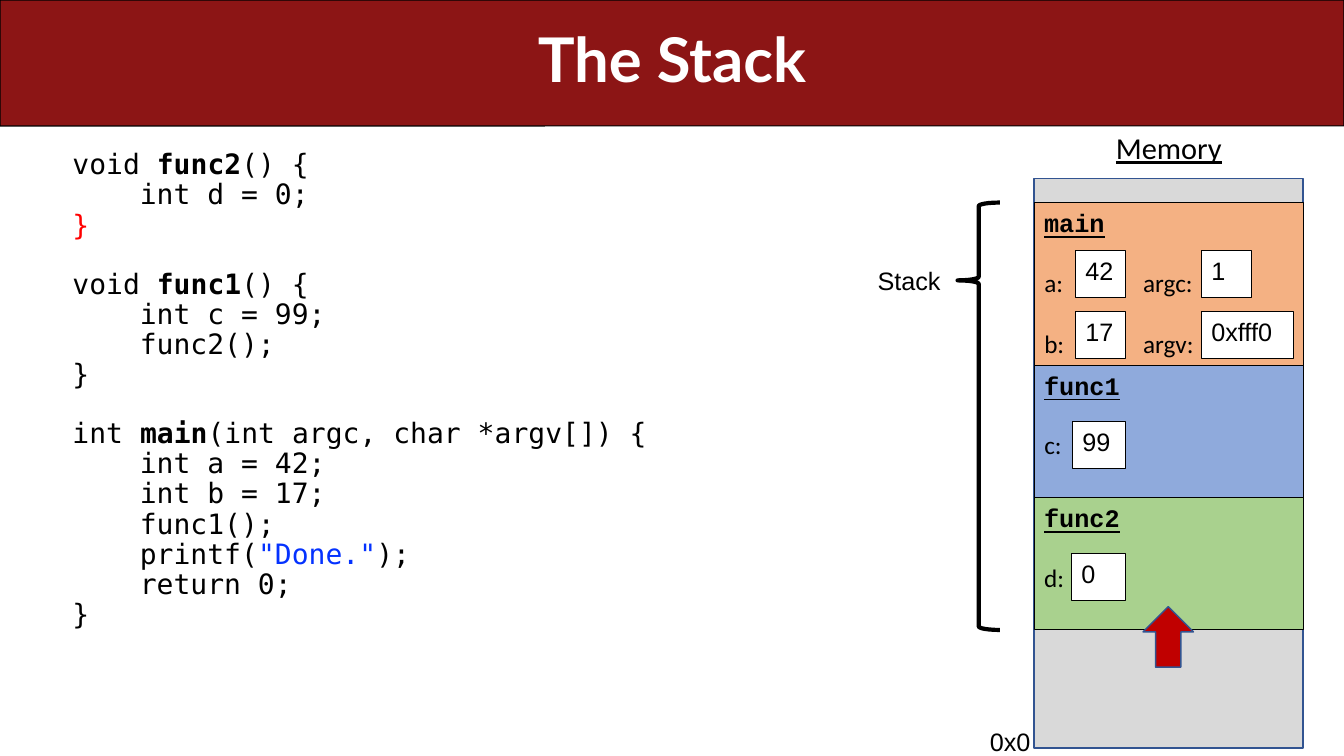
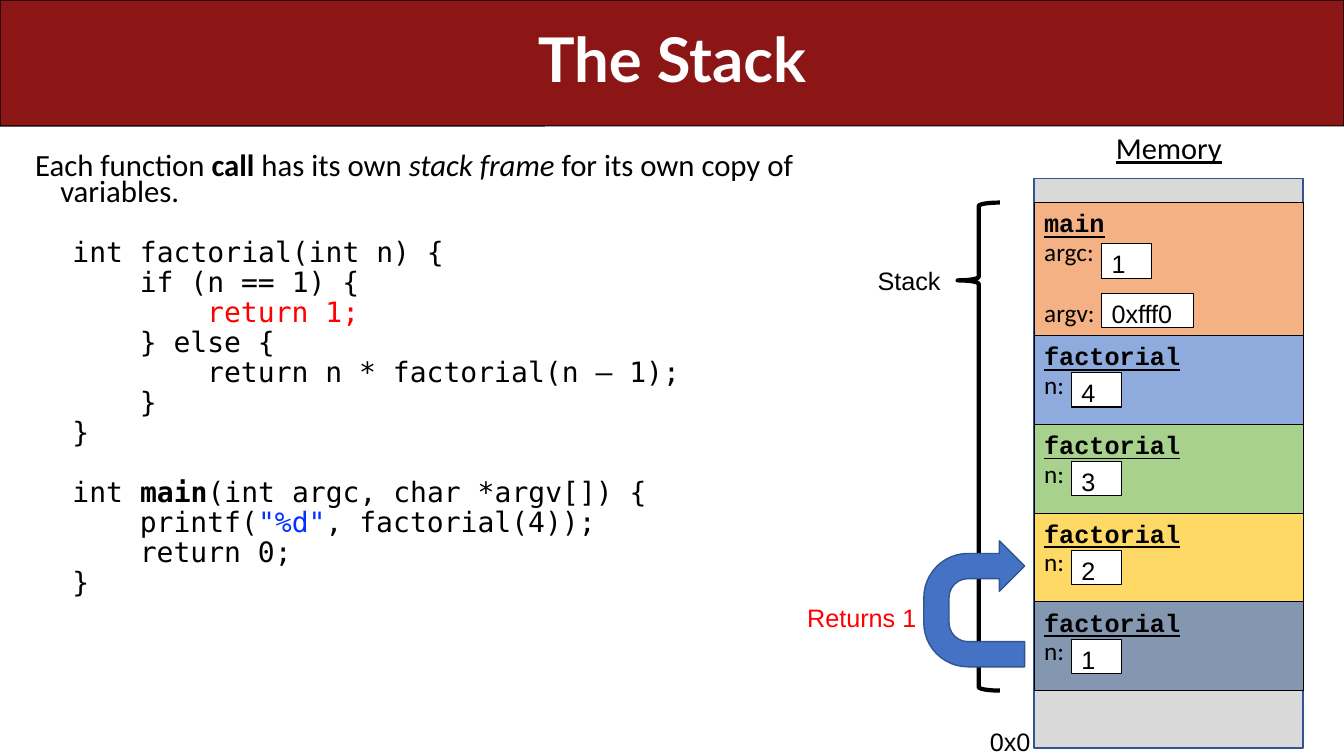
import pptx
import pptx.dml.color
import pptx.enum.shapes
import pptx.enum.text
import pptx.util

Pt = pptx.util.Pt
SHAPES = pptx.enum.shapes.MSO_SHAPE
ALIGN = pptx.enum.text.PP_ALIGN
ANCHOR = pptx.enum.text.MSO_ANCHOR

BLACK, WHITE, RED, BLUE = "000000", "FFFFFF", "FF0000", "0432FF"
CARDINAL, OUTLINE, GREY = "8C1515", "325491", "D9D9D9"
ORANGE, SKY, GREEN, YELLOW, SLATE = "F4B183", "8FAADC", "A9D18E", "FFD966", "8497B0"

MEMORY_LEFT, MEMORY_WIDTH = 738.7, 192.2
STACK_TOP = 144.7
ROW_HEIGHT = 22
CODE_LINE_GAP, CODE_BLANK_LINE = 4.65, 20.95
CODE_TAB = 48.15

BOLD = {"bold": True}


def rgb(color):
    return pptx.dml.color.RGBColor.from_string(color)


def write(paragraph, text, size=18, font="Arial", color=BLACK,
          bold=False, italic=False, underline=False):
    run = paragraph.add_run()
    run.text = text
    run.font.size = Pt(size)
    run.font.name = font
    run.font.color.rgb = rgb(color)
    run.font.bold = bold
    run.font.italic = italic
    run.font.underline = underline


def space(paragraph, before, left=None):
    """Set tight lines, the gap above and, with left, a hanging indent."""
    paragraph.line_spacing = 0.7
    paragraph.space_before = Pt(before)
    if left is not None:
        properties = paragraph._p.get_or_add_pPr()
        properties.set("marL", str(Pt(left)))
        properties.set("indent", str(Pt(-18)))


class StackDeck:
    def __init__(self):
        self.deck = pptx.Presentation()
        self.deck.slide_width, self.deck.slide_height = Pt(960), Pt(540)
        self.layout = self.deck.slide_layouts[5]
        for placeholder in list(self.layout.placeholders):
            if placeholder.placeholder_format.idx != 0:
                placeholder.element.getparent().remove(placeholder.element)
        self.slide = None

    def shape(self, kind, left, top, width, height, fill=None,
              line=BLACK, weight=0.75, adjust=()):
        shape = self.slide.shapes.add_shape(
            kind, Pt(left), Pt(top), Pt(width), Pt(height))
        shape.shadow.inherit = False
        if fill:
            shape.fill.solid()
            shape.fill.fore_color.rgb = rgb(fill)
        else:
            shape.fill.background()
        shape.line.color.rgb = rgb(line)
        shape.line.width = Pt(weight)
        for index, value in enumerate(adjust):
            shape.adjustments[index] = value
        return shape

    def box(self, left, top, width, height, fill, text, **style):
        """Draw a rectangle with text at its top left."""
        box = self.shape(SHAPES.RECTANGLE, left, top, width, height, fill)
        box.text_frame.vertical_anchor = ANCHOR.TOP
        paragraph = box.text_frame.paragraphs[0]
        paragraph.alignment = ALIGN.LEFT
        write(paragraph, text, **style)

    def text_area(self, left, top, width, height, wrap=False):
        area = self.slide.shapes.add_textbox(
            Pt(left), Pt(top), Pt(width), Pt(height)).text_frame
        area.word_wrap = wrap
        return area

    def label(self, left, top, width, height, text, align=ALIGN.RIGHT, **style):
        paragraph = self.text_area(left, top, width, height).paragraphs[0]
        paragraph.alignment = align
        write(paragraph, text, **style)
        return paragraph

    def new_slide(self, heading):
        """Start a slide with its title and the memory column."""
        self.slide = self.deck.slides.add_slide(self.layout)
        if len(self.deck.slides) == 1:
            band = self.shape(SHAPES.ROUNDED_RECTANGLE, 0, 0, 960, 90,
                              CARDINAL, adjust=[0.001])
            self.layout.shapes.element.insert(2, band.element)
        title = self.slide.shapes.title
        title.left, title.top = Pt(36), Pt(0)
        title.width, title.height = Pt(888), Pt(90)
        title.text_frame.vertical_anchor = ANCHOR.MIDDLE
        paragraph = title.text_frame.paragraphs[0]
        paragraph.alignment = ALIGN.CENTER
        paragraph.line_spacing = 0.9
        write(paragraph, heading, 44, "Lato", WHITE, bold=True)

        memory = self.label(787, 95.8, 95.8, 31, "Memory", ALIGN.CENTER,
                            size=21.7, font="Calibri", underline=True)
        space(memory, 10)
        self.shape(SHAPES.RECTANGLE, MEMORY_LEFT, 127.4, MEMORY_WIDTH, 406.8,
                   GREY, OUTLINE, 1)
        self.label(693.4, 515.5, 49.7, 24.5, "0x0")

    def code(self, area, source, highlights):
        """Add code lines; each highlight formats the first match of its key."""
        pending = dict(highlights)
        gap = CODE_LINE_GAP
        for line in source.strip("\n").split("\n"):
            statement = line.strip()
            if not statement:
                gap += CODE_BLANK_LINE
                continue
            first = not area.text
            paragraph = area.paragraphs[0] if first else area.add_paragraph()
            depth = (len(line) - len(statement)) // 4
            space(paragraph, gap, 44.64 + CODE_TAB * depth)
            gap = CODE_LINE_GAP
            token = next((key for key in pending if key in statement), None)
            before, match, after = (
                statement.partition(token) if token else (statement, "", ""))
            style = pending.pop(token, {})
            for part, extra in ((before, {}), (match, style), (after, {})):
                if part:
                    write(paragraph, part, 20, "DejaVu Sans Mono", **extra)

    def variable(self, frame_top, box_height, name, value, row,
                 name_x, box_x, box_y, box_width):
        """Draw a name on a text row of a frame, and its value in a box."""
        name_area = self.text_area(MEMORY_LEFT + name_x,
                                   frame_top + 2 + ROW_HEIGHT * row,
                                   box_x - name_x, ROW_HEIGHT)
        name_area.margin_left = name_area.margin_right = 0
        name_area.margin_top = name_area.margin_bottom = 0
        write(name_area.paragraphs[0], name, font="Calibri")
        self.box(MEMORY_LEFT + box_x, frame_top + box_y, box_width, box_height,
                 WHITE, value)

    def stack(self, frames, box_height):
        """Pile frames downwards and bracket them with the Stack brace."""
        top = STACK_TOP
        for function, fill, height, variables in frames:
            self.box(MEMORY_LEFT, top, MEMORY_WIDTH, height, fill, function,
                     font="Courier New", bold=True, underline=True)
            for variable in variables:
                self.variable(top, box_height, *variable)
            top += height
        height = top - STACK_TOP
        self.shape(SHAPES.LEFT_BRACE, 684, STACK_TOP, 30.2, height,
                   weight=3, adjust=[0.083, 55.6 / height])
        self.label(619.2, 185.8, 59.8, 28.8, "Stack")


CALLS_CODE = """
void func2() {
    int d = 0;
}

void func1() {
    int c = 99;
    func2();
}

int main(int argc, char *argv[]) {
    int a = 42;
    int b = 17;
    func1();
    printf("Done.");
    return 0;
}
"""
CALLS_HIGHLIGHTS = {"func2": BOLD, "}": {"color": RED}, "func1": BOLD,
                    "main": BOLD, '"Done."': {"color": BLUE}}
# Variables: name, value, text row, name x, box x, box y, box width
CALLS_FRAMES = [
    ("main", ORANGE, 116.3, [
        ("a:", "42", 2, 7.2, 29.5, 33.9, 36),
        ("b:", "17", 4, 7.2, 29.5, 77.8, 36),
        ("argc:", "1", 2, 77.8, 119.5, 33.9, 36),
        ("argv:", "0xfff0", 4, 77.8, 119.5, 77.8, 66)]),
    ("func1", SKY, 94.5, [("c:", "99", 2, 7.2, 27.4, 40, 37.6)]),
    ("func2", GREEN, 94.5, [("d:", "0", 2, 7.2, 26.6, 40, 38.6)]),
]

FACTORIAL_CODE = """

int factorial(int n) {
    if (n == 1) {
        return 1;
    } else {
        return n * factorial(n – 1);
    }
}

int main(int argc, char *argv[]) {
    printf("%d", factorial(4));
    return 0;
}
"""
FACTORIAL_HIGHLIGHTS = {"return 1;": {"color": RED}, "main": BOLD,
                        '"%d"': {"color": BLUE}}
FACTORIAL_FRAMES = [
    ("main", ORANGE, 95, [
        ("argc:", "1", 1, 7.2, 48.2, 29.5, 36),
        ("argv:", "0xfff0", 3, 7.2, 48.2, 64.8, 66)]),
] + [
    ("factorial", fill, 63.4, [("n:", n, 1, 7.2, 26.6, 26.6, 36)])
    for n, fill in zip("4321", (SKY, GREEN, YELLOW, SLATE))
]


def calls_slide(deck):
    deck.new_slide("The Stack")
    area = deck.text_area(18, 108, 473.8, 360, wrap=True)
    deck.code(area, CALLS_CODE, CALLS_HIGHLIGHTS)
    deck.stack(CALLS_FRAMES, 33.8)
    deck.shape(SHAPES.UP_ARROW, 816.5, 433.4, 36, 43.2, "C00000", OUTLINE, 1)


def factorial_slide(deck):
    deck.new_slide("The Stack")
    area = deck.text_area(18, 108, 596.9, 407.5, wrap=True)
    statement = area.paragraphs[0]
    space(statement, 5.4, 18)
    for part, style in (("Each function", {}), (" call", BOLD),
                        (" has its own ", {}), ("stack frame ", {"italic": True}),
                        ("for its own copy of variables.", {})):
        write(statement, part, 22, "Calibri", **style)
    # The blank first line of the code sets it apart from the statement
    deck.code(area, "{}" and " \n" + FACTORIAL_CODE.strip("\n"),
              FACTORIAL_HIGHLIGHTS)
    deck.stack(FACTORIAL_FRAMES, 24.5)
    returned = deck.shape(SHAPES.U_TURN_ARROW, 650.9, 395.3, 90, 72, "4472C4",
                          OUTLINE, 1, [0.25, 0.25, 0.25, 0.438, 1])
    returned.rotation = 270
    deck.label(568.1, 427, 93.6, 28.8, "Returns 1", color=RED)


def main():
    deck = StackDeck()
    calls_slide(deck)
    factorial_slide(deck)
    deck.deck.save("out.pptx")


if __name__ == "__main__":
    main()
